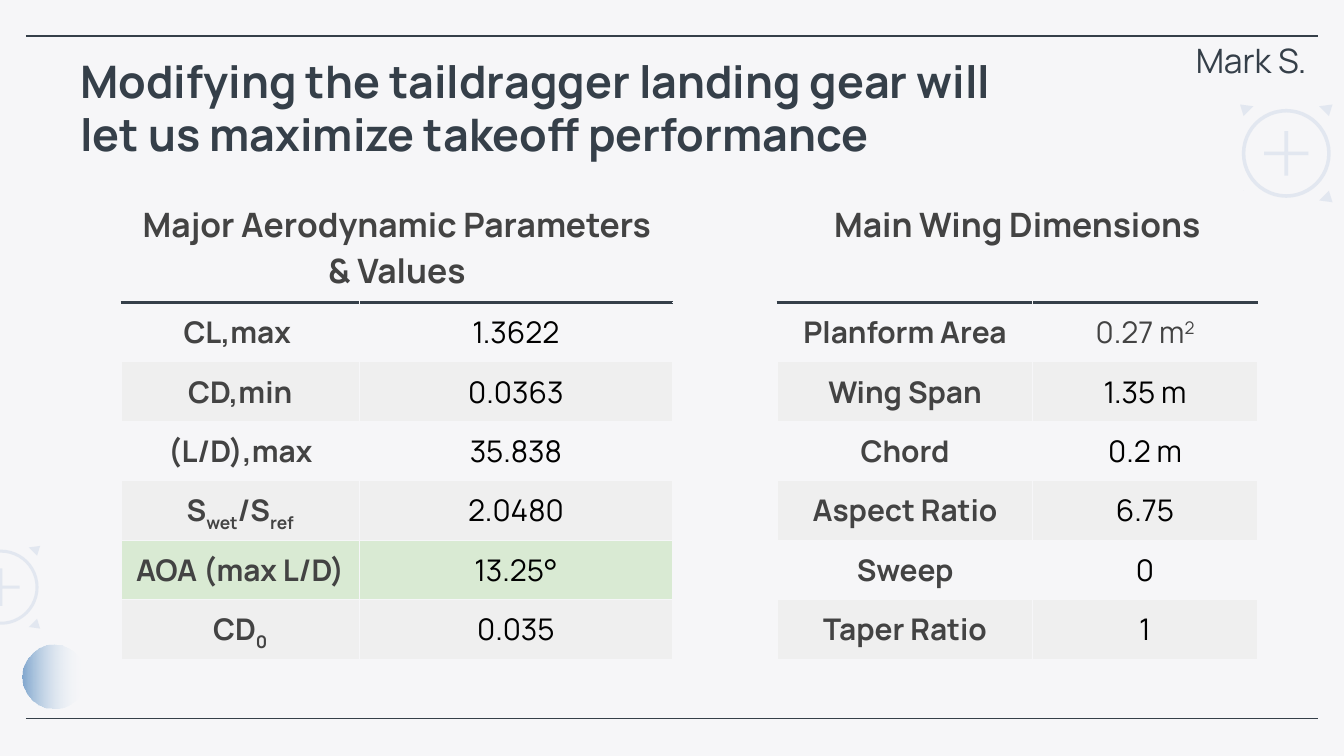
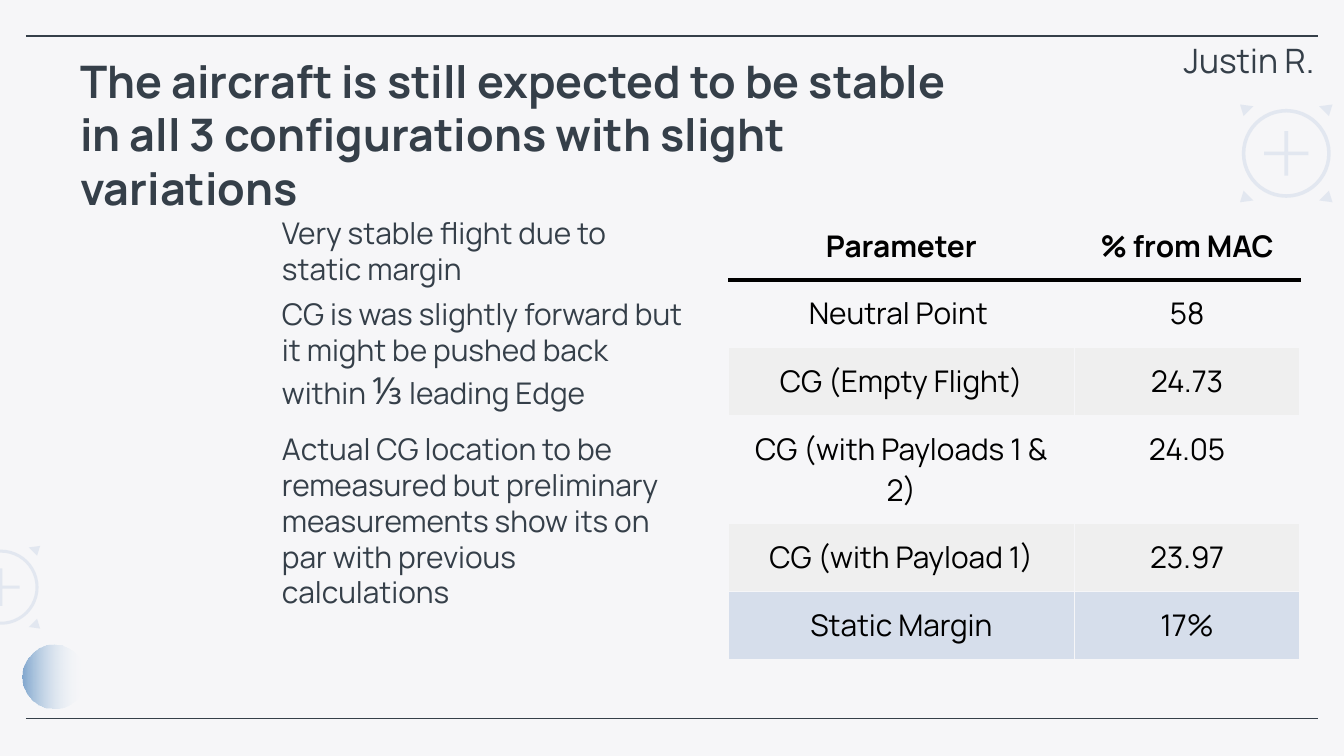
from dataclasses import dataclass

import pptx
import pptx.dml.color
import pptx.enum.shapes
import pptx.enum.text
import pptx.oxml
import pptx.oxml.ns
import pptx.util
from lxml import etree

Cm, Pt = pptx.util.Cm, pptx.util.Pt
SHAPE = pptx.enum.shapes.MSO_SHAPE
qn = pptx.oxml.ns.qn


@dataclass(frozen=True)
class Theme:
    font: str = "Manrope"
    paper: str = "F6F6F8"
    ink: str = "353F49"
    label: str = "434343"
    black: str = "000000"
    band: str = "EFEFEF"
    green: str = "D9EAD3"
    blue: str = "D6DEEB"
    ball: str = "81A7CE"
    white: str = "FFFFFF"
    title_size: float = 24
    heading_size: float = 18
    text_size: float = 16
    fraction_size: float = 20
    hairline: float = 0.75
    rule: float = 2.25


THEME = Theme()
TITLE = {"size": THEME.title_size, "color": THEME.ink, "bold": True}
PRESENTER = {"size": THEME.heading_size, "color": THEME.ink}
BODY = {"size": THEME.text_size, "color": THEME.ink}
HEADING = {"size": THEME.heading_size, "color": THEME.label, "bold": True}
LABEL = {"size": THEME.text_size, "color": THEME.label, "bold": True}
VALUE = {"size": THEME.text_size, "color": THEME.black}
COLUMN_HEAD = {**VALUE, "bold": True}
SUB, SUPER = -25, 30


def rgb(code):
    return pptx.dml.color.RGBColor.from_string(code)


def set_all(target, values):
    for attribute, value in values.items():
        setattr(target, attribute, value)


def add_run(paragraph, text, style, baseline=0):
    """Add text; baseline is a percentage, below zero for subscripts."""
    run = paragraph.add_run()
    run.text = text
    set_all(run.font, {"name": THEME.font, "size": Pt(style["size"]),
                       "bold": style.get("bold", False)})
    run.font.color.rgb = rgb(style["color"])
    if baseline:
        run.font._element.set("baseline", str(baseline * 1000))


def add_text_box(slide, box, margin_left=0.25, margin_top=0.25):
    frame = slide.shapes.add_textbox(*map(Cm, box)).text_frame
    set_all(frame, {"word_wrap": True, "margin_left": Cm(margin_left),
                    "margin_top": Cm(margin_top), "margin_right": Cm(0.25),
                    "margin_bottom": Cm(0.25)})
    return frame


def set_alpha(color_element, percent):
    etree.SubElement(color_element, qn("a:alpha")).set("val", str(percent * 1000))


def tint(shape):
    """Give a decoration its pale, see-through fill without an outline."""
    shape.shadow.inherit = False
    shape.line.fill.background()
    shape.fill.solid()
    shape.fill.fore_color.rgb = rgb(THEME.blue)
    set_alpha(next(shape._element.spPr.iter(qn("a:srgbClr"))), 61)


def draw_target(slide, center_x, center_y, diameter, sides=(-1, 1)):
    """Draw a ring with a cross, and corner arrows on the given sides."""
    for kind, share, adjustment in ((SHAPE.MATH_PLUS, 0.68, 0.058),
                                    (SHAPE.DONUT, 1, 0.04)):
        size = diameter * share
        part = slide.shapes.add_shape(kind, Cm(center_x - size / 2),
                                      Cm(center_y - size / 2), Cm(size), Cm(size))
        part.adjustments[0] = adjustment
        tint(part)
    corner = ((0.52, 0.55), (0.48, 0.42), (0.37, 0.53))
    for side in sides:
        for end in (-1, 1):
            points = [(Cm(center_x + side * x * diameter),
                       Cm(center_y + end * y * diameter)) for x, y in corner]
            outline = slide.shapes.build_freeform(*points[0])
            outline.add_line_segments(points[1:], close=True)
            tint(outline.convert_to_shape())


def draw_ball(slide, left, top, size):
    ball = slide.shapes.add_shape(SHAPE.OVAL, Cm(left), Cm(top), Cm(size), Cm(size))
    ball.shadow.inherit = False
    ball.line.fill.background()
    ball.fill.gradient()
    ball.fill.gradient_angle = 0
    for stop, position, color in zip(ball.fill.gradient_stops, (0, 1),
                                     (THEME.ball, THEME.white)):
        stop.position = position
        stop.color.rgb = rgb(color)
    set_alpha(list(ball._element.spPr.iter(qn("a:srgbClr")))[-1], 0)


def draw_frame(slide):
    """Draw the background, border lines and decorations of every slide."""
    slide.background.fill.solid()
    slide.background.fill.fore_color.rgb = rgb(THEME.paper)
    for height in (0.68, 13.58):
        border = slide.shapes.add_connector(
            pptx.enum.shapes.MSO_CONNECTOR.STRAIGHT,
            Cm(0.49), Cm(height), Cm(24.91), Cm(height))
        border.line.color.rgb = rgb(THEME.ink)
        border.line.width = Pt(THEME.hairline)
        etree.SubElement(border._element.spPr, qn("a:effectLst"))
    draw_target(slide, 24.31, 2.9, 1.68)
    draw_ball(slide, 0.42, 12.19, 1.2)
    draw_target(slide, 0.02, 11.1, 1.42, sides=(1,))


def start_slide(deck, title, title_width, presenter, presenter_left):
    slide = deck.slides.add_slide(deck.slide_layouts[6])
    draw_frame(slide)
    heading = add_text_box(slide, (0, 0.76, title_width, 2.65),
                           margin_left=1.52).paragraphs[0]
    heading.line_spacing = Pt(THEME.title_size * 1.2)
    add_run(heading, title, TITLE)
    name = add_text_box(slide, (presenter_left, 0, 25.4 - presenter_left, 1.93),
                        margin_top=0.98)
    add_run(name.paragraphs[0], presenter, PRESENTER)
    return slide


def set_borders(cell, top=None, bottom=None):
    """Edge a cell in the paper colour; top and bottom may name a rule colour."""
    properties = cell._tc.get_or_add_tcPr()
    for edge, color in (("L", None), ("R", None), ("T", top), ("B", bottom)):
        width = THEME.rule if color else THEME.hairline
        line = etree.SubElement(properties, qn(f"a:ln{edge}"), w=str(Pt(width)))
        fill = etree.SubElement(line, qn("a:solidFill"))
        etree.SubElement(fill, qn("a:srgbClr"), val=color or THEME.paper)


def fill_cell(cell, parts, style, margin):
    """Write one text, or a list of (text, baseline) parts, into a cell."""
    set_all(cell, {f"margin_{side}": Cm(margin)
                   for side in ("left", "right", "top", "bottom")})
    paragraph = cell.text_frame.paragraphs[0]
    paragraph.alignment = pptx.enum.text.PP_ALIGN.CENTER
    for text, baseline in [(parts, 0)] if isinstance(parts, str) else parts:
        add_run(paragraph, text, style, baseline)


def add_grid(slide, left, top, widths, heights, rule, plain=()):
    """Add a banded table with a rule under its header, save in plain columns."""
    table = slide.shapes.add_table(len(heights), len(widths), Cm(left), Cm(top),
                                   Cm(sum(widths)), Cm(sum(heights))).table
    set_all(table, {"first_row": False, "horz_banding": False})
    for column, width in zip(table.columns, widths):
        column.width = Cm(width)
    for row, height in zip(table.rows, heights):
        row.height = Cm(height)
    for r in range(len(heights)):
        for c in range(len(widths)):
            color = None if c in plain else rule
            set_borders(table.cell(r, c), top=color if r == 1 else None,
                        bottom=color if r == 0 else None)
            banded = r and r % 2 == 0 and c not in plain
            paint(table.cell(r, c), THEME.band if banded else THEME.paper)
    return table


def paint(cell, color):
    cell.fill.solid()
    cell.fill.fore_color.rgb = rgb(color)


def add_wing_table(slide, left, top):
    parameters = [
        ("CL,max ", "1.3622"),
        ("CD,min", "0.0363"),
        ("(L/D),max", "35.838"),
        ([("S", 0), ("wet", SUB), ("/S", 0), ("ref", SUB)], "2.0480"),
        ("AOA (max L/D)", "13.25°"),
        ([("CD", 0), ("0", SUB)], "0.035"),
    ]
    dimensions = [
        ("Planform Area", [("0.27 m", 0), ("2", SUPER)]),
        ("Wing Span", "1.35 m"),
        ("Chord", "0.2 m"),
        ("Aspect Ratio", "6.75"),
        ("Sweep", "0"),
        ("Taper Ratio", "1"),
    ]
    table = add_grid(slide, left, top, (4.5, 5.92, 1.98, 4.83, 4.24),
                     [2.09] + [1.12] * len(parameters), THEME.ink, plain=(2,))
    blocks = ((0, "Major Aerodynamic Parameters & Values", parameters),
              (3, "Main Wing Dimensions", dimensions))
    for first, heading, rows in blocks:
        table.cell(0, first).merge(table.cell(0, first + 1))
        fill_cell(table.cell(0, first), heading, HEADING, 0.18)
        for r, (label, value) in enumerate(rows, 1):
            style = VALUE if isinstance(value, str) else {**LABEL, "bold": False}
            fill_cell(table.cell(r, first), label, LABEL, 0.18)
            fill_cell(table.cell(r, first + 1), value, style, 0.18)
    for c in (0, 1):
        paint(table.cell(5, c), THEME.green)


def add_stability_table(slide, left, top):
    rows = [
        ("Parameter", "% from MAC"),
        ("Neutral Point ", "58"),
        ("CG (Empty Flight)", "24.73"),
        ("CG (with Payloads 1 & 2)", "24.05"),
        ("CG (with Payload 1)", "23.97"),
        ("Static Margin", "17%"),
    ]
    heights = [1.28] * len(rows)
    heights[3] = 2.05
    table = add_grid(slide, left, top, (6.53, 4.27), heights, THEME.black)
    for r, row in enumerate(rows):
        for c, text in enumerate(row):
            fill_cell(table.cell(r, c), text, VALUE if r else COLUMN_HEAD, 0.25)
    for c in (0, 1):
        paint(table.cell(5, c), THEME.blue)


def add_findings(slide, box):
    fraction = {**BODY, "size": THEME.fraction_size}
    findings = [
        (0, [("Very stable flight due to static margin", BODY)]),
        (5, [("CG is was slightly forward but it might be pushed back within ", BODY),
             ("⅓", fraction), (" leading Edge", BODY)]),
        (10, [("Actual CG location to be remeasured but preliminary measurements "
               "show its on par with previous calculations", BODY)]),
    ]
    frame = add_text_box(slide, box, margin_left=5.33)
    for index, (gap, parts) in enumerate(findings):
        paragraph = frame.add_paragraph() if index else frame.paragraphs[0]
        paragraph.space_before = Pt(gap)
        for text, style in parts:
            add_run(paragraph, text, style)


def build_landing_gear_slide(deck):
    slide = start_slide(deck, "Modifying the taildragger landing gear will let us "
                        "maximize takeoff performance", 19.71, "Mark S.", 22.35)
    add_wing_table(slide, 2.29, 3.63)


def build_stability_slide(deck):
    slide = start_slide(deck, "The aircraft is still expected to be stable in all 3 "
                        "configurations with slight variations", 18.82,
                        "Justin R.", 22.12)
    add_stability_table(slide, 13.77, 4.01)
    add_findings(slide, (0, 3.81, 13.16, 8.28))


def main():
    deck = pptx.Presentation()
    set_all(deck, {"slide_width": Cm(25.4), "slide_height": Cm(14.29)})
    build_landing_gear_slide(deck)
    build_stability_slide(deck)
    deck.save("out.pptx")


if __name__ == "__main__":
    main()
